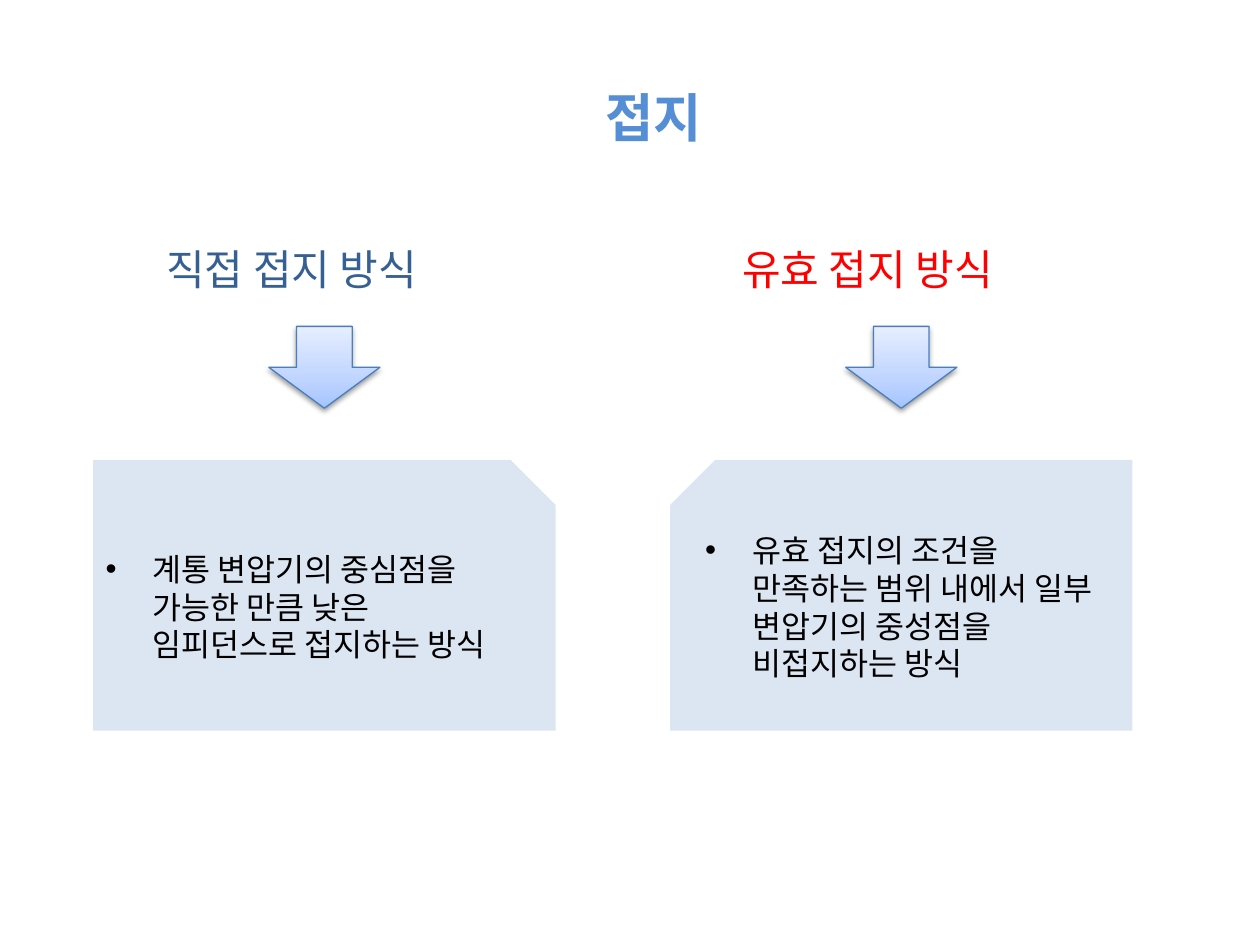
"""Build a slide comparing two neutral grounding methods."""
from lxml import etree
from pptx import Presentation
from pptx.dml.color import RGBColor
from pptx.enum.shapes import MSO_SHAPE
from pptx.enum.text import MSO_ANCHOR, PP_ALIGN
from pptx.oxml import parse_xml
from pptx.oxml.ns import qn
from pptx.util import Cm, Pt

DOWN_ARROW, SNIPPED = MSO_SHAPE.DOWN_ARROW, MSO_SHAPE.SNIP_1_RECTANGLE
MIDDLE, BOTTOM = MSO_ANCHOR.MIDDLE, MSO_ANCHOR.BOTTOM
CENTER, LEFT = PP_ALIGN.CENTER, PP_ALIGN.LEFT
FONT = "Noto Sans CJK KR"
NS = 'xmlns:a="http://schemas.openxmlformats.org/drawingml/2006/main"'
COLORS = {
    "title": "558ED5", "direct": "376092", "effective": "FF0000",
    "text": "000000", "panel": "DCE6F2", "arrow_line": "4B7EBC",
    "arrow_low": "A4C4FF", "arrow_mid": "BFD4FF", "arrow_high": "E6EEFF",
}
METHODS = [
    ("직접 접지 방식", "direct", 1, 3.1, 7.06, 1.88, False,
     "계통 변압기의 중심점을 가능한 만큼 낮은 임피던스로 접지하는 방식"),
    ("유효 접지 방식", "effective", 3, 14.71, 6.32, 13.51, True,
     "유효 접지의 조건을 만족하는 범위 내에서 일부 변압기의 중성점을 비접지하는 방식"),
]
PANEL_WIDTH, ARROW_WIDTH = 9.32, 2.24


def place(shape, left, top, width, height):
    shape.left, shape.top = Cm(left), Cm(top)
    shape.width, shape.height = Cm(width), Cm(height)


def write(frame, text, size, color, align, anchor, bold=False):
    frame.word_wrap = True
    frame.vertical_anchor = anchor
    paragraph = frame.paragraphs[0]
    paragraph.alignment = align
    paragraph.space_before = Pt(0)
    run = paragraph.add_run()
    run.text = text
    run.font.size, run.font.bold, run.font.name = Pt(size), bold, FONT
    run.font.color.rgb = RGBColor.from_string(COLORS[color])
    etree.SubElement(run.font._element, qn("a:ea"), typeface=FONT)
    return paragraph._p.get_or_add_pPr()


prs = Presentation()
prs.slide_width, prs.slide_height = Cm(25.4), Cm(19.05)
slide = prs.slides.add_slide(prs.slide_layouts[4])
holders = {holder.placeholder_format.idx: holder for holder in slide.placeholders}
for unused in (2, 4):
    holders[unused]._element.getparent().remove(holders[unused]._element)

title = slide.shapes.title
place(title, 1.27, 0.76, 22.86, 3.18)
title_props = write(title.text_frame, "접지", 30, "title", CENTER, MIDDLE, True)
title_props.set("marL", str(Cm(0.95)))
title_props.set("indent", "0")

for name, color, idx, name_left, name_width, panel_left, mirrored, meaning in METHODS:
    heading = holders[idx]
    place(heading, name_left, 4.27, name_width, 1.78)
    write(heading.text_frame, name, 24, color, LEFT, BOTTOM)

    arrow_left = panel_left + (PANEL_WIDTH - ARROW_WIDTH) / 2
    arrow = slide.shapes.add_shape(
        DOWN_ARROW, Cm(arrow_left), Cm(6.58), Cm(ARROW_WIDTH), Cm(1.65))
    arrow.line.color.rgb = RGBColor.from_string(COLORS["arrow_line"])
    arrow.line.width = Pt(0.75)
    arrow.fill.gradient()
    arrow.fill.gradient_angle = 90
    stops = arrow._element.spPr.find(qn("a:gradFill")).find(qn("a:gsLst"))
    for stop in list(stops):
        stops.remove(stop)
    for position, tone in ((0, "arrow_low"), (35, "arrow_mid"), (100, "arrow_high")):
        stop = etree.SubElement(stops, qn("a:gs"), pos=str(position * 1000))
        etree.SubElement(stop, qn("a:srgbClr"), val=COLORS[tone])
    arrow._element.spPr.append(parse_xml(
        f'<a:effectLst {NS}><a:outerShdw blurRad="{Pt(3.1)}" dist="{Pt(1.6)}" '
        'dir="5400000" rotWithShape="0"><a:srgbClr val="000000">'
        '<a:alpha val="38000"/></a:srgbClr></a:outerShdw></a:effectLst>'))

    panel = slide.shapes.add_shape(
        SNIPPED, Cm(panel_left), Cm(9.27), Cm(PANEL_WIDTH), Cm(5.46))
    panel.shadow.inherit = False
    panel.fill.solid()
    panel.fill.fore_color.rgb = RGBColor.from_string(COLORS["panel"])
    panel.line.fill.background()
    if mirrored:
        panel._element.spPr.xfrm.set("flipH", "1")
    props = write(panel.text_frame, meaning, 18, "text", LEFT, MIDDLE)
    props.set("marL", str(Cm(0.95)))
    props.set("indent", str(-Cm(0.95)))
    bullet_color = etree.SubElement(props, qn("a:buClr"))
    etree.SubElement(bullet_color, qn("a:srgbClr"), val=COLORS["text"])
    etree.SubElement(props, qn("a:buFont"), typeface="Arial")
    etree.SubElement(props, qn("a:buChar"), char="•")

prs.save("out.pptx")
